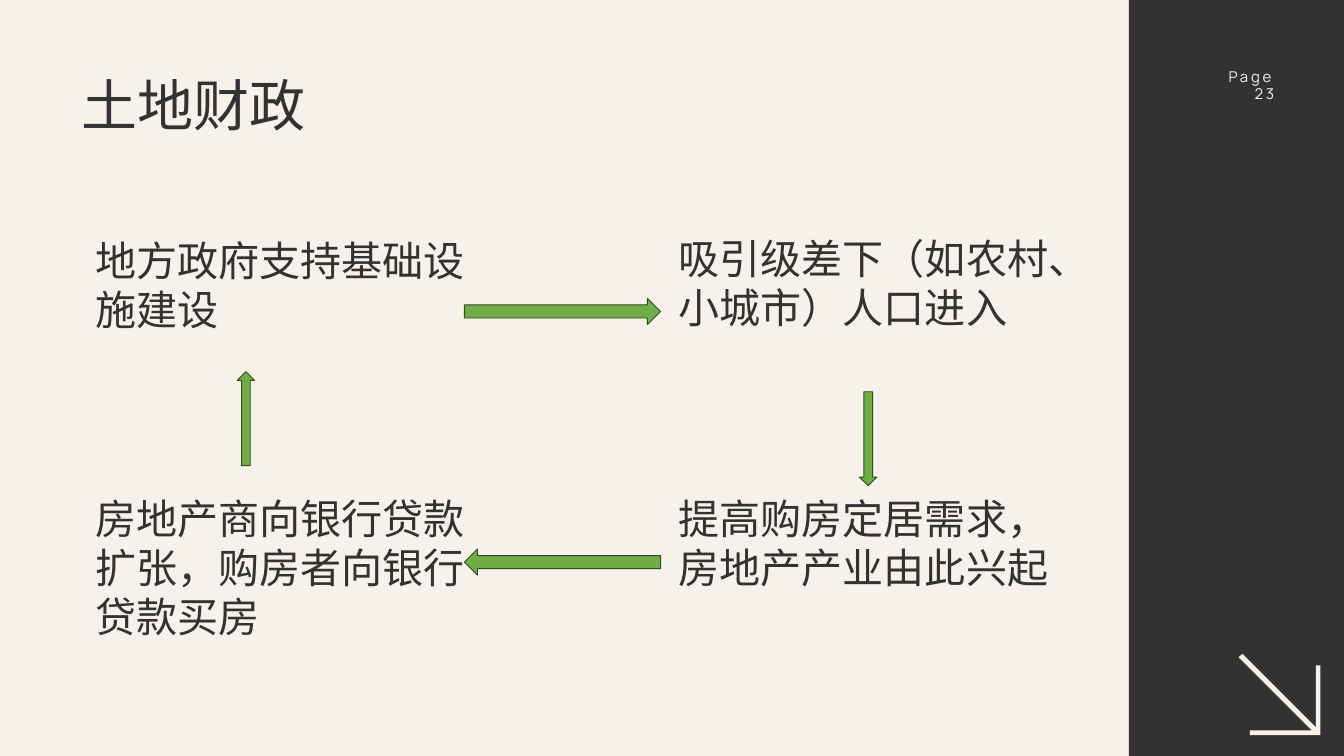
"""Builds the land finance cycle slide: four steps joined by four arrows."""
from pptx import Presentation, util as u
from pptx.dml.color import RGBColor
from pptx.enum import shapes, text

PX = 9144
CREAM = RGBColor(0xF6, 0xF1, 0xEB)
CHARCOAL = RGBColor(0x32, 0x32, 0x32)
GREEN = RGBColor(0x70, 0xAD, 0x47)
DARK_GREEN = RGBColor(0x31, 0x4C, 0x1F)

deck = Presentation()
deck.slide_width, deck.slide_height = 2000 * PX, 1125 * PX
slide = deck.slides.add_slide(deck.slide_layouts[6])
slide.background.fill.solid()
slide.background.fill.fore_color.rgb = CREAM


def add_text(words, left, top, width, height, size, font, color):
    box = slide.shapes.add_textbox(left * PX, top * PX, width * PX, height * PX)
    frame = box.text_frame
    frame.word_wrap = True
    frame.auto_size = text.MSO_AUTO_SIZE.SHAPE_TO_FIT_TEXT
    line = frame.paragraphs[0]
    line.text = words
    line.font.size = u.Pt(size)
    line.font.name = font
    line.font.color.rgb = color
    return line


def paint(shape, color):
    shape.shadow.inherit = False
    shape.fill.solid()
    shape.fill.fore_color.rgb = color
    shape.line.fill.background()


sidebar = slide.shapes.add_shape(
    shapes.MSO_SHAPE.RECTANGLE, 1680 * PX, 0, 320 * PX, 1125 * PX)
paint(sidebar, CHARCOAL)

add_text("土地财政", 112, 100, 1449, 111, 60, "Manrope", CHARCOAL)

corner_points = [
    (1965, 990), (1965, 1094), (1860, 1094), (1860, 1087), (1952, 1087),
    (1843, 978), (1849, 973), (1958, 1082), (1958, 990),
]
outline = slide.shapes.build_freeform(*corner_points[0], scale=PX)
outline.add_line_segments(corner_points[1:], close=True)
paint(outline.convert_to_shape(), CREAM)

page_number = add_text("Page 23", 1788, 95, 118, 37, 16, "Manrope", CREAM)
page_number.alignment = text.PP_ALIGN.RIGHT
page_number.runs[0].font._element.set("spc", "300")

steps = [
    ("地方政府支持基础设施建设", 132, 345, 158),
    ("吸引级差下（如农村、小城市）人口进入", 1000, 342, 158),
    ("提高购房定居需求，房地产产业由此兴起", 1000, 729, 158),
    ("房地产商向银行贷款扩张，购房者向银行贷款买房", 132, 729, 232),
]
for words, left, top, height in steps:
    add_text(words, left, top, 595, height, 44, "Calibri", CHARCOAL)

arrows = [
    (691, 444, 292, 39, 0),
    (691, 817, 292, 39, 180),
    (1222, 640, 140, 26, 90),
    (296, 610, 140, 26, 270),
]
for left, top, length, thickness, turn in arrows:
    arrow = slide.shapes.add_shape(
        shapes.MSO_SHAPE.RIGHT_ARROW,
        left * PX, top * PX, length * PX, thickness * PX)
    paint(arrow, GREEN)
    arrow.line.color.rgb = DARK_GREEN
    arrow.line.width = u.Pt(1)
    arrow.rotation = turn

deck.save("out.pptx")
